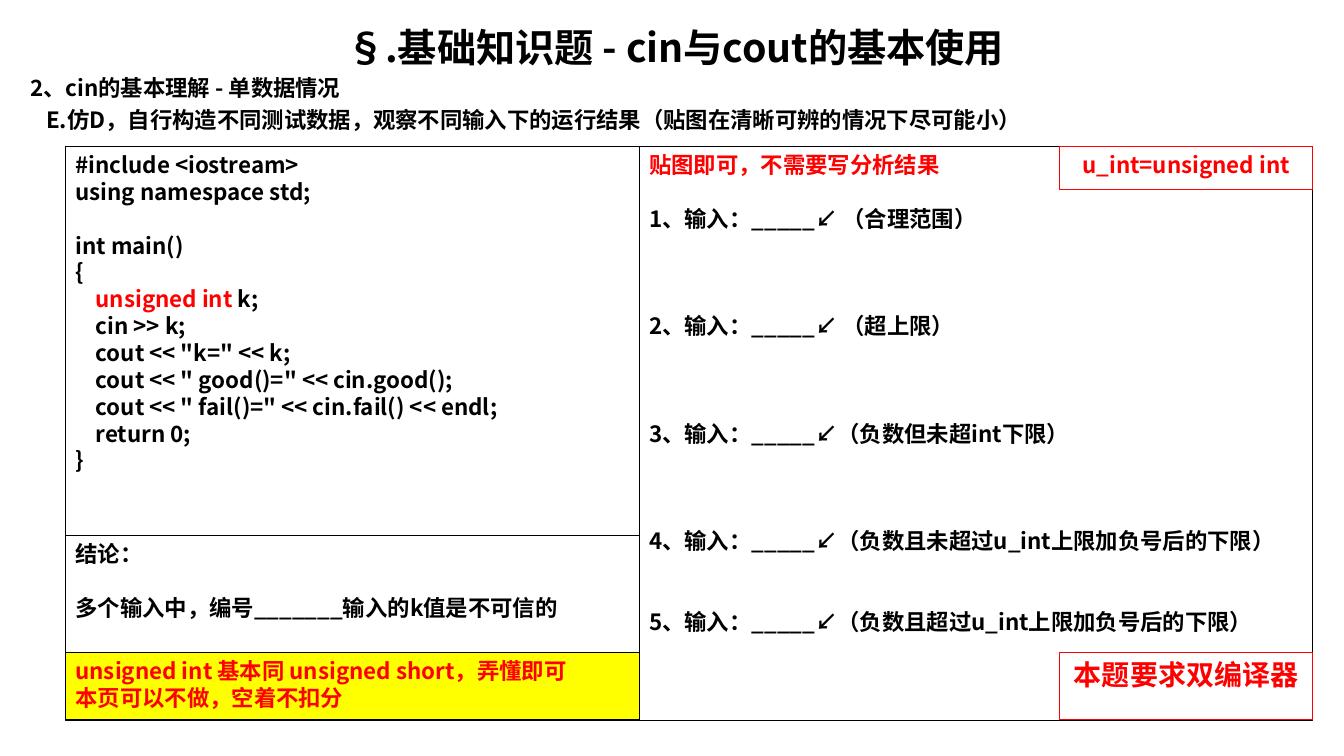
from pptx import Presentation
from pptx.dml.color import RGBColor
from pptx.enum.shapes import MSO_SHAPE
from pptx.enum.text import MSO_ANCHOR, PP_ALIGN
from pptx.oxml.ns import qn
from pptx.util import Inches, Pt

RECTANGLE = MSO_SHAPE.RECTANGLE
TOP = MSO_ANCHOR.TOP
LEFT, CENTER = PP_ALIGN.LEFT, PP_ALIGN.CENTER
FONT = "Noto Sans CJK SC"
BLACK, RED, YELLOW = "000000", "FF0000", "FFFF00"
LINE_RATIO = 1.2


def color(value):
    return RGBColor.from_string(value)


def write_line(para, spans, size, align, space_before):
    para.alignment = align
    para.line_spacing = Pt(size * LINE_RATIO)
    para.space_before = Pt(space_before)
    for text, ink in spans:
        span = para.add_run()
        span.text = text
        span.font.name = FONT
        span.font.size = Pt(size)
        span.font.bold = True
        span.font.color.rgb = color(ink)
        east_asian = span.font._element.makeelement(qn("a:ea"), {"typeface": FONT})
        span.font._element.find(qn("a:latin")).addnext(east_asian)


deck = Presentation()
deck.slide_width, deck.slide_height = Inches(13.33), Inches(7.5)
page = deck.slides.add_slide(deck.slide_layouts[6])

heading = page.shapes.add_textbox(Inches(0.2), Inches(0.18), Inches(12.99), Inches(1.25))
heading.text_frame.word_wrap = True
headings = [
    ("§.基础知识题 - cin与cout的基本使用", 28, CENTER, 0),
    ("2、cin的基本理解 - 单数据情况", 16, LEFT, 3.2),
    ("E.仿D，自行构造不同测试数据，观察不同输入下的运行结果（贴图在清晰可辨的情况下尽可能小）", 16, LEFT, 3.2),
]
for index, (text, size, align, space) in enumerate(headings):
    para = heading.text_frame.paragraphs[0] if index == 0 else heading.text_frame.add_paragraph()
    write_line(para, [(text, BLACK)], size, align, space)
para._p.get_or_add_pPr().set("marL", str(Inches(0.16)))

code = [
    (0, [("#include <iostream>", BLACK)]),
    (0, [("using namespace std;", BLACK)]),
    (1, [("int main()", BLACK)]),
    (0, [("{", BLACK)]),
    (0, [("    ", BLACK), ("unsigned int ", RED), ("k;", BLACK)]),
    (0, [("    cin >> k;", BLACK)]),
    (0, [('    cout << "k=" << k;', BLACK)]),
    (0, [('    cout << " good()=" << cin.good();', BLACK)]),
    (0, [('    cout << " fail()=" << cin.fail() << endl;', BLACK)]),
    (0, [("    return 0;", BLACK)]),
    (0, [("}", BLACK)]),
]
inputs = [
    (0, [("贴图即可，不需要写分析结果", RED)]),
    (1, [("1、输入：_____↙ （合理范围）", BLACK)]),
    (3, [("2、输入：_____↙ （超上限）", BLACK)]),
    (3, [("3、输入：_____↙（负数但未超int下限）", BLACK)]),
    (3, [("4、输入：_____↙（负数且未超过u_int上限加负号后的下限）", BLACK)]),
    (2, [("5、输入：_____↙（负数且超过u_int上限加负号后的下限）", BLACK)]),
]
conclusion = [
    (0, [("结论：", BLACK)]),
    (1, [("多个输入中，编号_______输入的k值是不可信的", BLACK)]),
]
hint = [
    (0, [("unsigned int 基本同 unsigned short，弄懂即可", RED)]),
    (0, [("本页可以不做，空着不扣分", RED)]),
]
requirement = [(0, [("本题要求双编译器", RED)])]
abbreviation = [(0, [("u_int=unsigned int", RED)])]

panels = [
    (0.65, 1.45, 5.69, 5.7, None, BLACK, 16, LEFT, code),
    (6.34, 1.45, 6.68, 5.7, None, BLACK, 16, LEFT, inputs),
    (10.51, 6.47, 2.51, 0.67, None, RED, 20, CENTER, requirement),
    (0.65, 5.31, 5.69, 1.83, None, BLACK, 16, LEFT, conclusion),
    (10.51, 1.45, 2.51, 0.43, None, RED, 16, CENTER, abbreviation),
    (0.65, 6.47, 5.69, 0.67, YELLOW, BLACK, 16, LEFT, hint),
]
for left, top, width, height, fill, border, size, align, lines in panels:
    box = page.shapes.add_shape(RECTANGLE, Inches(left), Inches(top), Inches(width), Inches(height))
    box.shadow.inherit = False
    if fill:
        box.fill.solid()
        box.fill.fore_color.rgb = color(fill)
    else:
        box.fill.background()
    box.line.color.rgb = color(border)
    box.line.width = Pt(0.75)
    frame = box.text_frame
    frame.word_wrap = True
    frame.vertical_anchor = TOP
    for index, (gap, spans) in enumerate(lines):
        para = frame.paragraphs[0] if index == 0 else frame.add_paragraph()
        write_line(para, spans, size, align, gap * size * LINE_RATIO)

deck.save("out.pptx")
